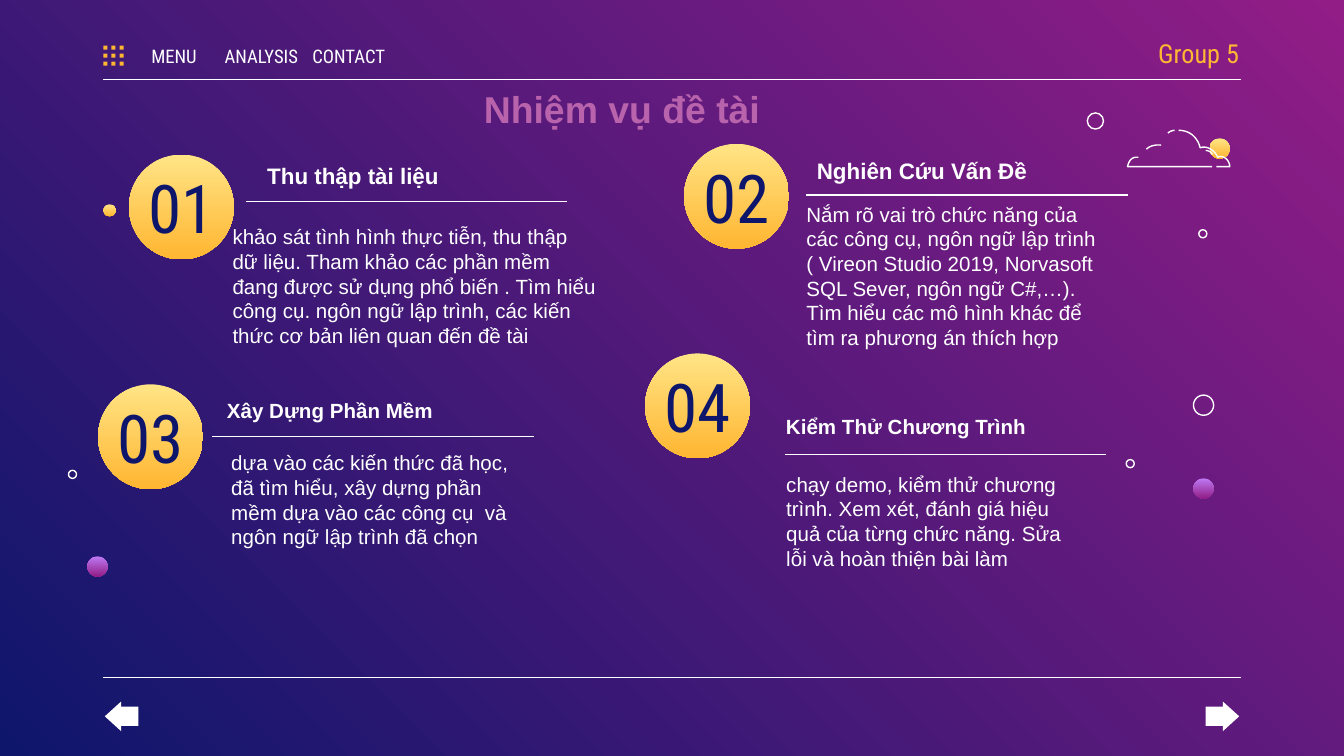
from dataclasses import dataclass
from itertools import product
from math import comb

from lxml import etree
from pptx import Presentation, util as u
from pptx.dml import color
from pptx.enum import shapes, text
from pptx.oxml import ns

PX = 9144
WIDE = 1000 * PX
SHAPE, ALIGN, ANCHOR = shapes.MSO_SHAPE, text.PP_ALIGN, text.MSO_ANCHOR


@dataclass(frozen=True)
class Theme:
    white: str = "FFFFFF"
    navy: str = "0E166C"
    amber: str = "FFB632"
    pink: str = "B863AC"
    back: tuple = ("921D87", "0E166C")
    gold: tuple = ("FFE485", "FFB632")
    plum: tuple = ("BE7AF3", "921D87")
    sans: str = "Arial"
    slim: str = "Roboto Condensed"
    title: int = 20
    head: int = 12
    body: int = 11
    lead: float = 13.2
    digit: int = 36
    group: int = 14
    menu: int = 10
    rule: float = 0.75


T = Theme()


def put(item, **vals):
    for key, val in vals.items():
        setattr(item, key, val)


def rgb(code):
    return color.RGBColor.from_string(code)


def emu(*vals):
    return [round(v * PX) for v in vals]


def blend(fill, pair, angle):
    fill.gradient()
    fill.gradient_angle = 360 - angle
    for stop, code in zip(fill.gradient_stops, pair):
        stop.color.rgb = rgb(code)


def stroke(line):
    line.color.rgb = rgb(T.white)
    line.width = u.Pt(T.rule)


def write(frame, lines, size, hue=T.white, face=T.sans, bold=False, align=ALIGN.LEFT,
          anchor=ANCHOR.TOP, inset=(10, 10, 10, 10), wrap=True):
    left, top, right, base = emu(*inset)
    put(frame, margin_left=left, margin_top=top, margin_right=right, margin_bottom=base,
        word_wrap=wrap, auto_size=text.MSO_AUTO_SIZE.NONE, vertical_anchor=anchor)
    frame.text = "\n".join(lines)
    for para in frame.paragraphs:
        put(para, alignment=align, space_before=u.Pt(0))
        put(para.font, name=face, size=u.Pt(size), bold=bold)
        para.font.color.rgb = rgb(hue)


def label(slide, box, words, size, **style):
    write(slide.shapes.add_textbox(*emu(*box)).text_frame, [words], size, **style)


def rule(slide, x, y, width):
    line = slide.shapes.add_connector(shapes.MSO_CONNECTOR.STRAIGHT, *emu(x, y, x + width, y))
    stroke(line.line)
    etree.SubElement(line._element.spPr, ns.qn("a:effectLst"))


def block(slide, kind, box, fill=None):
    item = slide.shapes.add_shape(kind, *emu(*box))
    item.shadow.inherit = False
    if fill is None:
        item.fill.background()
        stroke(item.line)
        return item
    item.line.fill.background()
    if isinstance(fill, tuple):
        blend(item.fill, fill, 90)
    else:
        item.fill.solid()
        item.fill.fore_color.rgb = rgb(fill)
    return item


def place(holder, box):
    left, top, width, height = emu(*box)
    put(holder, left=left, top=top, width=width, height=height)


def header(slide, x, y, width):
    for col, row in product(range(3), repeat=2):
        block(slide, SHAPE.RECTANGLE, (x + 6 * col, y + 6 * row, 3, 3), T.amber)
    for i, word in enumerate(("MENU", "ANALYSIS", "CONTACT")):
        label(slide, (x + 24 + 65 * i, y - 4, 57, 23), word, T.menu, face=T.slim,
              align=ALIGN.CENTER, anchor=ANCHOR.MIDDLE, inset=(0, 10, 0, 10), wrap=False)
    label(slide, (x + width - 151, y - 11, 150, 33), "Group 5", T.group, hue=T.amber,
          face=T.slim, align=ALIGN.RIGHT, anchor=ANCHOR.MIDDLE, inset=(10, 10, 0, 10))
    rule(slide, x, y + 25, width)


def footer(slide, x, y, width):
    rule(slide, x, y, width)
    for kind, left in ((SHAPE.LEFT_ARROW, x + 1), (SHAPE.RIGHT_ARROW, x + width - 26)):
        arrow = block(slide, kind, (left, y + 18, 25, 22), T.white)
        arrow.adjustments[0], arrow.adjustments[1] = 0.65, 0.55


def heading(slide, box):
    place(slide.shapes.title, box)
    write(slide.shapes.title.text_frame, ["Nhiệm vụ đề tài"], T.title, hue=T.pink, bold=True)


def card(slide, holder, mark, spot, head, bar, body, size, name, lines, pad=0):
    x, y = spot
    block(slide, SHAPE.OVAL, (x, y, 78, 78), T.gold)
    label(slide, (x, y + 20, 78, 38), mark, T.digit, hue=T.navy, face=T.slim,
          align=ALIGN.CENTER, anchor=ANCHOR.MIDDLE)
    label(slide, (x + head[0], y + head[1], *head[2:]), name, size, bold=True)
    rule(slide, x + bar[0], y + bar[1], 239)
    place(holder, (x + body[0], y + body[1], *body[2:]))
    write(holder.text_frame, lines, T.body)
    for para in holder.text_frame.paragraphs:
        para.line_spacing = u.Pt(T.lead)
        props = para._p.get_or_add_pPr()
        props.set("marL", str(pad * PX))
        props.set("indent", "0")
        etree.SubElement(props, ns.qn("a:buNone"))


def curve(points, steps=10):
    n = len(points) - 1
    for i in range(1, steps + 1):
        t = i / steps
        mix = [comb(n, k) * t**k * (1 - t)**(n - k) for k in range(n + 1)]
        yield tuple(sum(m * p[axis] for m, p in zip(mix, points)) for axis in (0, 1))


def cloud(slide, x, y):
    trails = (
        ((38, 0), [(46, 0), (52, 5), (54, 13)], [(59, 11), (65, 15), (67, 20)],
         [(71, 18), (76, 22), (76, 27)], [(66, 27)]),
        ((35, 0), [(35, 0), (32, 0), (30, 2)]),
        ((63, 27), [(0, 27)], [(0, 27), (1, 19), (8, 20)]),
        ((58, 15), [(58, 15), (62, 15), (63, 18)]),
        ((25, 11), [(25, 11), (18, 10), (14, 14)]),
    )
    for start, *parts in trails:
        track = [start]
        for part in parts:
            track += curve([track[-1], *part])
        dots = [emu(x + a, y + b) for a, b in track]
        pen = slide.shapes.build_freeform(*dots[0])
        pen.add_line_segments(dots[1:], close=False)
        item = pen.convert_to_shape()
        item.shadow.inherit = False
        item.fill.background()
        stroke(item.line)


def decor(slide):
    for x, y, size, fill in (
            (900, 103, 15, T.gold), (77, 152, 9, T.gold), (888, 356, 15, T.plum),
            (65, 414, 15, T.plum), (809, 84, 12, None), (888, 294, 15, None),
            (892, 171, 6, None), (838, 342, 6, None), (51, 350, 6, None)):
        block(slide, SHAPE.OVAL, (x, y, size, size), fill)
    cloud(slide, 839, 97)


CARDS = (
    ((96, 115), (93, -4, 154, 35), (87, 35), (55, 42, 304, 121), T.head, "Thu thập tài liệu",
     ["khảo sát tình hình thực tiễn, thu thập", "dữ liệu. Tham khảo các phần mềm",
      "đang được sử dụng phổ biến . Tìm hiểu", "công cụ. ngôn ngữ lập trình, các kiến",
      "thức cơ bản liên quan đến đề tài"], 12),
    ((509, 107), (89, 0, 190, 35), (91, 38), (81, 33, 244, 122), T.head, "Nghiên Cứu Vấn Đề",
     ["Nắm rõ vai trò chức năng của các công cụ, ngôn ngữ lập trình ( Vireon Studio 2019, "
      "Norvasoft SQL Sever, ngôn ngữ C#,…). Tìm hiểu các mô hình khác để tìm ra phương án "
      "thích hợp"]),
    ((73, 286), (86, 0, 179, 32), (85, 39), (89, 39, 244, 62), T.body, "Xây Dựng Phần Mềm",
     ["dựa vào các kiến thức đã học, đã tìm hiểu, xây dựng phần mềm dựa vào các công cụ  và "
      "ngôn ngữ lập trình đã chọn"]),
    ((480, 263), (95, 35, 200, 40), (104, 75), (95, 78, 244, 62), T.body,
     "Kiểm Thử Chương Trình",
     ["chạy demo, kiểm thử chương trình. Xem xét, đánh giá hiệu quả của từng chức năng. Sửa "
      "lỗi và hoàn thiện bài làm"]),
)


def main():
    deck = Presentation()
    put(deck, slide_width=WIDE, slide_height=WIDE * 9 // 16)
    slide = deck.slides.add_slide(deck.slide_layouts.get_by_name("Comparison"))
    blend(slide.background.fill, T.back, 135)
    header(slide, 77, 34, 846)
    footer(slide, 77, 504, 846)
    heading(slide, (350, 54, 280, 50))
    for i, data in enumerate(CARDS, 1):
        card(slide, slide.placeholders[i], f"{i:02}", *data)
    decor(slide)
    deck.save("out.pptx")


if __name__ == "__main__":
    main()
